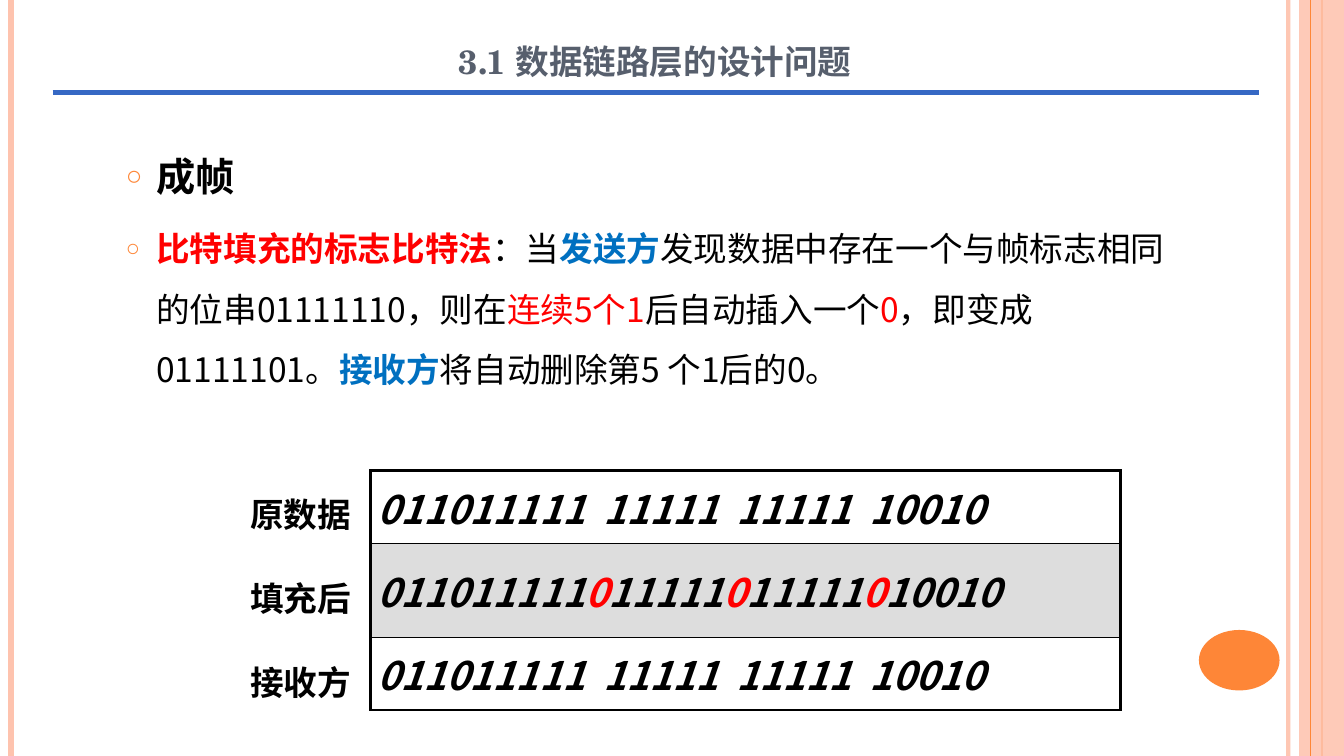
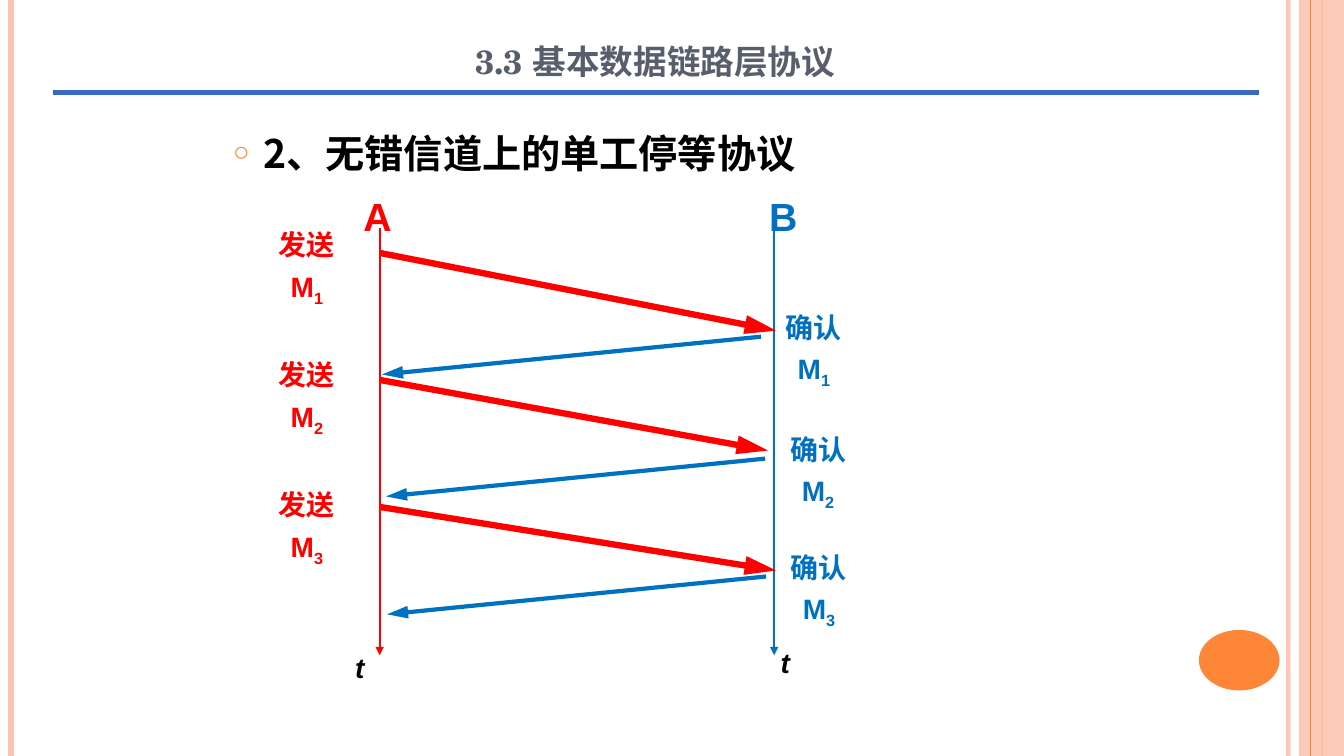
"""Builds two slides on the data link layer: bit stuffing and the stop-and-wait protocol."""
from lxml import etree
from pptx import Presentation
from pptx.dml.color import RGBColor
from pptx.enum import shapes, text
from pptx.oxml.ns import qn
from pptx.util import Pt

COLORS = {
    "black": "000000", "red": "FF0000", "blue": "0070C0", "orange": "FE8637",
    "peach": "FEC3AE", "rule": "3668C4", "title": "575F6D", "grey": "DDDDDD",
}
CJK = "Noto Sans CJK SC"
SERIF = "TeX Gyre Schola"
SANS = "Arial"

LINES_BELOW_BAND = [
    (920.2, "peach", 3, 93), (8, "peach", 4.5, 100), (944, "orange", 1.5, 100),
]
LINES_ABOVE_BAND = [(936, "orange", 0.75, 100)]

FRAMING = {
    "title": "3.1 数据链路层的设计问题",
    "box": (82.8, 88.6, 759.6, 245.5),
    "spacing": 1.5,
    "body": [
        [("成帧", 28, "black", True)],
        [
            ("比特填充的标志比特法", 24, "red", True),
            ("：当", 24, "black", False),
            ("发送方", 24, "blue", True),
            ("发现数据中存在一个与帧标志相同的位串01111110，则在", 24, "black", False),
            ("连续5个1", 24, "red", False),
            ("后自动插入一个", 24, "black", False),
            ("0", 24, "red", False),
            ("，即变成01111101。", 24, "black", False),
            ("接收方", 24, "blue", True),
            ("将自动删除第5 个1后的0。", 24, "black", False),
        ],
    ],
}
PLAIN_BITS = [("011011111  11111  11111  10010", "black")]
STUFFED_BITS = [
    ("011011111", "black"), ("0", "red"), ("11111", "black"), ("0", "red"),
    ("11111", "black"), ("0", "red"), ("10010", "black"),
]
BIT_ROWS = [
    ("原数据", PLAIN_BITS, 52, None),
    ("填充后", STUFFED_BITS, 67, "grey"),
    ("接收方", PLAIN_BITS, 52, None),
]

STOP_WAIT = {
    "title": "3.3 基本数据链路层协议",
    "box": (159.4, 88.4, 640.8, 67),
    "spacing": 1.0,
    "body": [[("2、无错信道上的单工停等协议", 28, "black", True)]],
}
AXES = [
    ("A", "red", 271.2, (252, 127.4, 35.3, 48), (246.2, 456.2)),
    ("B", "blue", 553, (542.2, 127.4, 34, 48), (550.1, 452.9)),
]
FRAMES = [
    {"reach": (554.4, 236.2), "ack": (543.6, 240.5)},
    {"reach": (548.6, 321.8), "ack": (546.5, 327.6)},
    {"reach": (554.4, 407.5), "ack": (547.2, 411.8)},
]


def rgb(name):
    return RGBColor.from_string(COLORS[name])


def add_child(parent, tag, **attributes):
    return etree.SubElement(parent, qn(tag), {k: str(v) for k, v in attributes.items()})


def set_opacity(shape, percent):
    color = shape.element.spPr.find(".//" + qn("a:srgbClr"))
    add_child(color, "a:alpha", val=percent * 1000)


def write(paragraph, words, size, color, bold=True, italic=False, font=CJK):
    run = paragraph.add_run()
    run.text = words
    run.font.size, run.font.bold, run.font.italic = Pt(size), bold, italic
    run.font.color.rgb = rgb(color)
    run.font.name = font
    add_child(run._r.get_or_add_rPr(), "a:ea", typeface=CJK)
    return run


def draw_line(slide, start, end, color, width, head=None):
    line = slide.shapes.add_connector(
        shapes.MSO_CONNECTOR.STRAIGHT, *(Pt(v) for v in (*start, *end)))
    line.line.color.rgb = rgb(color)
    line.line.width = Pt(width)
    if head:
        add_child(line.element.spPr.find(qn("a:ln")), "a:tailEnd",
                  type="triangle", w="med", len=head)
    add_child(line.element.spPr, "a:effectLst")
    return line


def add_label(slide, box, lines):
    """Lines are lists of (words, size, color, italic, subscript)."""
    frame = slide.shapes.add_textbox(*(Pt(v) for v in box)).text_frame
    frame.word_wrap = False
    for i, parts in enumerate(lines):
        paragraph = frame.add_paragraph() if i else frame.paragraphs[0]
        paragraph.alignment = text.PP_ALIGN.CENTER
        paragraph.line_spacing = 1.2
        for words, size, color, italic, subscript in parts:
            run = write(paragraph, words, size, color, italic=italic, font=SANS)
            if subscript:
                run._r.get_or_add_rPr().set("baseline", "-25000")


def place(shape, box):
    shape.left, shape.top, shape.width, shape.height = (Pt(v) for v in box)


def draw_edges(slide, edges):
    for x, color, width, opacity in edges:
        edge = draw_line(slide, (x, 0), (x, 540), color, width)
        set_opacity(edge, opacity)
        yield edge


def draw_filled(slide, kind, box, color, opacity):
    shape = slide.shapes.add_shape(kind, *(Pt(v) for v in box))
    shape.shadow.inherit = False
    shape.fill.solid()
    shape.fill.fore_color.rgb = rgb(color)
    shape.line.fill.background()
    set_opacity(shape, opacity)
    return shape


def decorate_layout(layout, slide):
    """Draws the shared bands on a slide and moves them to its layout."""
    for holder in list(layout.placeholders):
        if holder.placeholder_format.idx >= 10:
            holder.element.getparent().remove(holder.element)
    place(layout.placeholders[0], (162, 0, 612, 62.8))
    decorations = [
        *draw_edges(slide, LINES_BELOW_BAND),
        draw_filled(slide, shapes.MSO_SHAPE.RECTANGLE, (928, 0, 32, 540), "peach", 87),
        *draw_edges(slide, LINES_ABOVE_BAND),
        draw_filled(slide, shapes.MSO_SHAPE.OVAL, (856.4, 450, 57.6, 43.2), "orange", 100),
        draw_line(slide, (37.6, 66.2), (899.3, 66.2), "rule", 3.5),
    ]
    for shape in decorations:
        layout.shapes.element.append(shape.element)


def fill_placeholders(slide, content):
    title = slide.shapes.title.text_frame
    title.auto_size = text.MSO_AUTO_SIZE.NONE
    title.vertical_anchor = text.MSO_ANCHOR.BOTTOM
    title.paragraphs[0].alignment = text.PP_ALIGN.CENTER
    heading = write(title.paragraphs[0], content["title"], 30, "title", font=SERIF)
    heading._r.get_or_add_rPr().set("cap", "small")

    body = slide.placeholders[1]
    place(body, content["box"])
    body.text_frame.auto_size = text.MSO_AUTO_SIZE.NONE
    for i, runs in enumerate(content["body"]):
        paragraph = body.text_frame.add_paragraph() if i else body.text_frame.paragraphs[0]
        paragraph.line_spacing = content["spacing"]
        paragraph.space_before = Pt(6)
        properties = paragraph._p.get_or_add_pPr()
        properties.set("marL", str(Pt(21.6)))
        properties.set("indent", str(-Pt(21.6)))
        bullet_color = add_child(properties, "a:buClr")
        add_child(bullet_color, "a:srgbClr", val=COLORS["orange"])
        add_child(properties, "a:buSzPct", val=70000)
        add_child(properties, "a:buChar", char="○")
        for words, size, color, bold in runs:
            write(paragraph, words, size, color, bold)


def set_borders(cell, widths):
    properties = cell._tc.get_or_add_tcPr()
    for i, (side, width) in enumerate(widths.items()):
        border = etree.Element(qn("a:ln" + side), w=str(Pt(width)))
        add_child(add_child(border, "a:solidFill"), "a:srgbClr", val=COLORS["black"])
        properties.insert(i, border)


def add_bit_table(slide):
    heights = [height for _, _, height, _ in BIT_ROWS]
    table = slide.shapes.add_table(
        len(BIT_ROWS), 1, Pt(264.6), Pt(336.2), Pt(535.7), Pt(sum(heights))).table
    table.first_row = table.horz_banding = False
    last = len(BIT_ROWS) - 1
    for i, (name, bits, height, shade) in enumerate(BIT_ROWS):
        table.rows[i].height = Pt(height)
        cell = table.cell(i, 0)
        cell.vertical_anchor = text.MSO_ANCHOR.MIDDLE
        cell.margin_left = cell.margin_right = Pt(5)
        cell.margin_top = cell.margin_bottom = Pt(3)
        if shade:
            cell.fill.solid()
            cell.fill.fore_color.rgb = rgb(shade)
        else:
            cell.fill.background()
        set_borders(cell, {"L": 2.25, "R": 2.25, "T": 1 if i else 2.25,
                           "B": 2.25 if i == last else 1})
        paragraph = cell.text_frame.paragraphs[0]
        paragraph.space_before = Pt(5.6)
        for words, color in bits:
            write(paragraph, words, 28, color, italic=True)
        add_label(slide, (170.6, 343.4 + 60 * i, 88.6, 42.5),
                  [[(name, 24, "black", False, False)]])


def add_sequence(slide):
    for name, color, x, name_box, time_corner in AXES:
        draw_line(slide, (x, 163), (x, 468), color, 1.5, "med")
        add_label(slide, name_box, [[(name, 28, color, False, False)]])
        add_label(slide, (*time_corner, 21.6, 36.7), [[("t", 20, "black", True, False)]])
    for i, frame in enumerate(FRAMES):
        ack_x, ack_y = frame["ack"]
        draw_line(slide, (271.4, 180.7 + 90.7 * i), frame["reach"], "red", 4.5, "lg")
        draw_line(slide, (ack_x, ack_y), (ack_x - 270.7, ack_y + 27), "blue", 3, "lg")
        for action, color, x, y in (("发送", "red", 182.2, 154.4 + 92.9 * i),
                                    ("确认", "blue", ack_x + 0.8, ack_y - 27)):
            add_label(slide, (x, y, 74, 72), [
                [(action, 20, color, False, False)],
                [("M", 20, color, False, False), (str(i + 1), 20, color, False, True)],
            ])


def main():
    deck = Presentation()
    deck.slide_width, deck.slide_height = Pt(960), Pt(540)
    layout = deck.slide_layouts[1]
    framing, stop_wait = (deck.slides.add_slide(layout) for _ in range(2))
    decorate_layout(layout, framing)
    fill_placeholders(framing, FRAMING)
    add_bit_table(framing)
    fill_placeholders(stop_wait, STOP_WAIT)
    add_sequence(stop_wait)
    deck.save("out.pptx")


if __name__ == "__main__":
    main()
